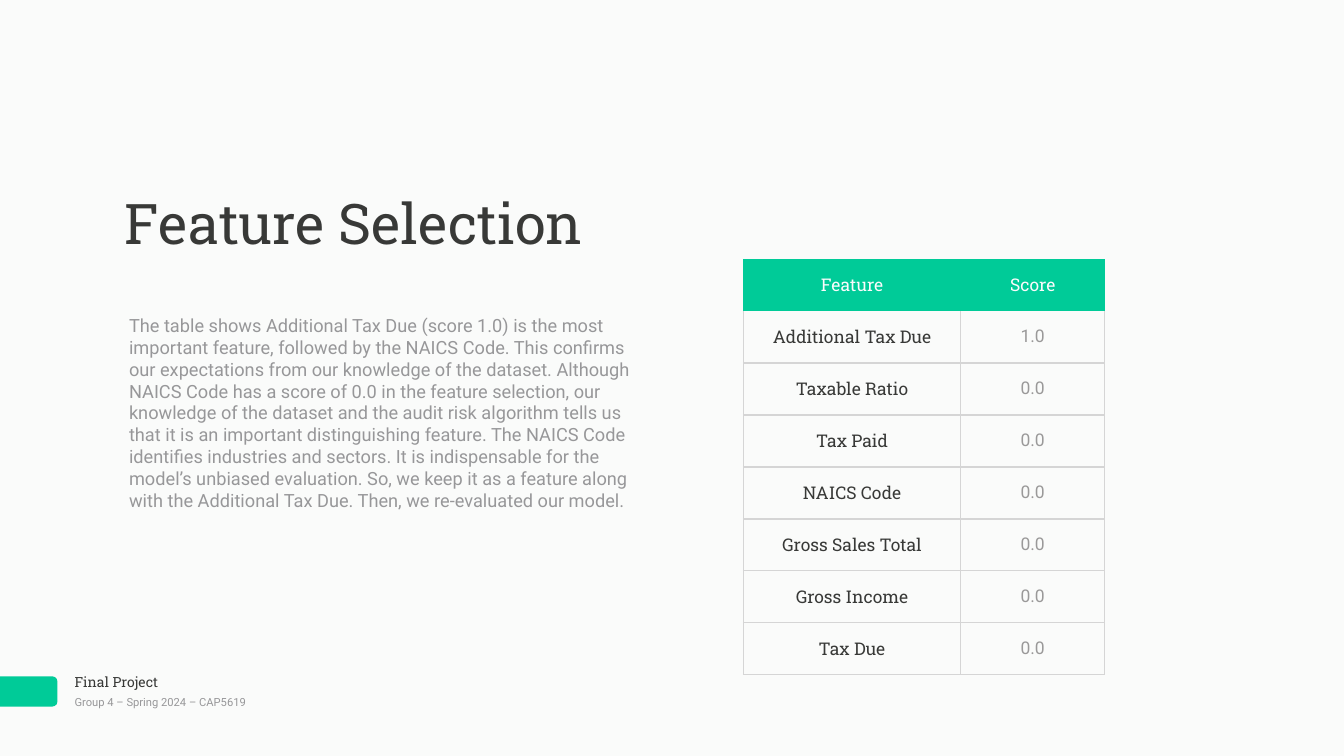
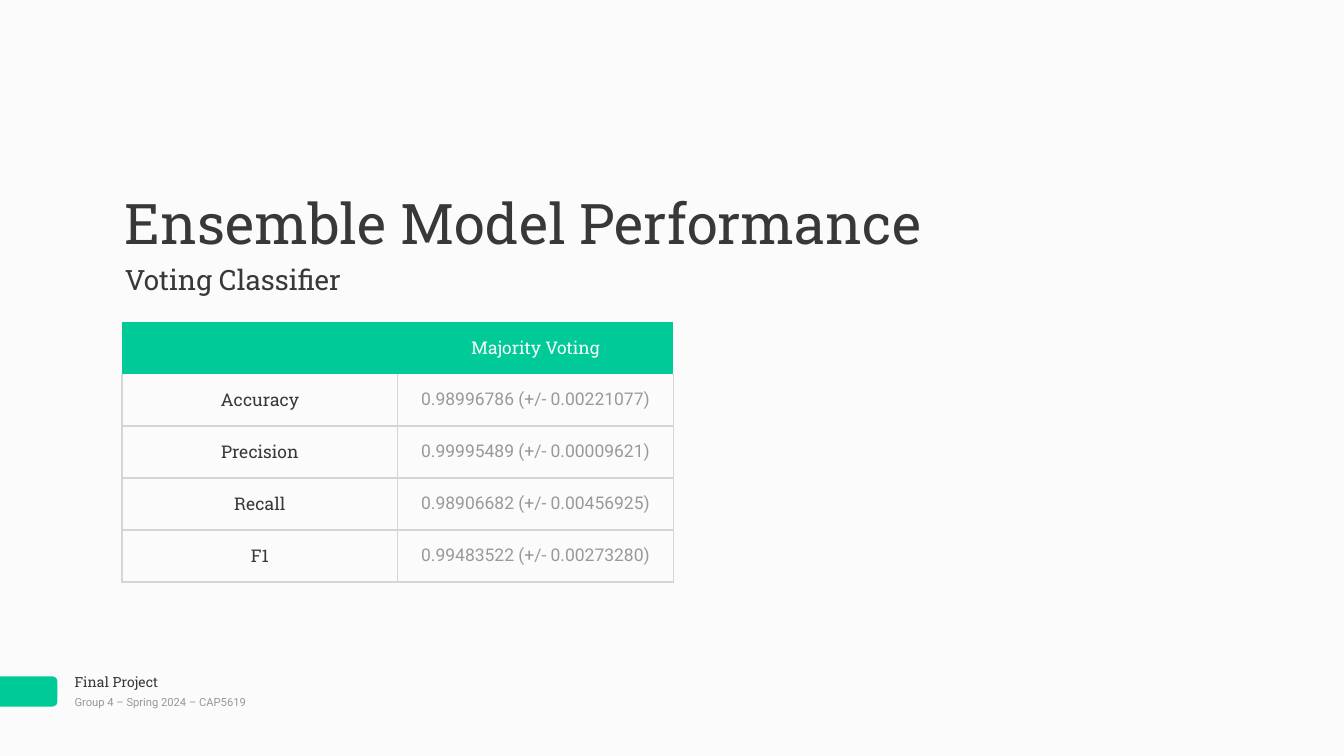
from pptx import Presentation
from pptx.dml.color import RGBColor
from pptx.enum.shapes import MSO_SHAPE
from pptx.enum.text import MSO_ANCHOR, MSO_AUTO_SIZE, PP_ALIGN
from pptx.oxml import parse_xml
from pptx.oxml.ns import nsdecls
from pptx.util import Pt

SLAB, SANS = "Roboto Slab", "Roboto"
GREEN, DARK, GREY = "00CB98", "383937", "979799"
PAPER, WHITE, SCORE, RULE = "FAFBFA", "FBFBFC", "9A9999", "D5D5D5"
LEFT, PAD, ROW = 174.24, 4.32, 74.25
PLAIN = "{2D5ABB26-0587-4C30-8999-92F81FD0307C}"


def tint(code):
    return RGBColor.from_string(code)


def write(para, text, size, face, color):
    run = para.add_run()
    run.text = text
    font = run.font
    font.size, font.name = Pt(size), face
    font.color.rgb = tint(color)


def place(shape, box):
    shape.left, shape.top, shape.width, shape.height = map(Pt, box)


def fill_text(shape, text, size, face, color, anchor=MSO_ANCHOR.TOP):
    frame = shape.text_frame
    frame.word_wrap = True
    frame.auto_size = MSO_AUTO_SIZE.SHAPE_TO_FIT_TEXT
    frame.vertical_anchor = anchor
    frame.margin_left = frame.margin_right = Pt(PAD)
    frame.margin_top = frame.margin_bottom = Pt(PAD)
    para = frame.paragraphs[0]
    para.alignment = PP_ALIGN.LEFT
    write(para, text, size, face, color)


def add_text(slide, box, *style):
    fill_text(slide.shapes.add_textbox(*map(Pt, box)), *style)


def add_title(slide, text, width):
    title = slide.shapes.title
    place(title, (LEFT, 265.68, width, 105.12))
    fill_text(title, text, 80, SLAB, DARK)


def add_footer(slide, top):
    tab = slide.shapes.add_shape(
        MSO_SHAPE.ROUNDED_RECTANGLE, Pt(-7.2), Pt(top + 8.64), Pt(89.28), Pt(43.2))
    tab.adjustments[0] = 0.17
    tab.shadow.inherit = False
    tab.fill.solid()
    tab.fill.fore_color.rgb = tint(GREEN)
    tab.line.fill.background()
    add_text(slide, (102.24, top, 229.68, 32.4), "Final Project", 20, SLAB, DARK)
    add_text(slide, (102.24, top + 30.96, 339.84, 27.36),
             "Group 4 – Spring 2024 – CAP5619", 16, SANS, GREY, MSO_ANCHOR.MIDDLE)


def add_rules(cell):
    props = cell._tc.get_or_add_tcPr()
    for side in "LRB":
        props.append(parse_xml(
            f'<a:ln{side} {nsdecls("a")} w="{Pt(2)}"><a:solidFill>'
            f'<a:srgbClr val="{RULE}"/></a:solidFill></a:ln{side}>'))


def fill_cell(cell, text, head, first):
    if head:
        cell.fill.solid()
        cell.fill.fore_color.rgb = tint(GREEN)
    else:
        add_rules(cell)
        cell.fill.background()
    cell.vertical_anchor = MSO_ANCHOR.MIDDLE
    cell.margin_left = cell.margin_right = Pt(PAD)
    cell.margin_top = cell.margin_bottom = Pt(PAD)
    para = cell.text_frame.paragraphs[0]
    para.alignment = PP_ALIGN.CENTER
    if text:
        face = SLAB if head or first else SANS
        color = WHITE if head else DARK if first else SCORE
        write(para, text, 25, face, color)


def add_grid(slide, left, top, widths, rows):
    frame = slide.shapes.add_table(
        len(rows), len(widths), Pt(left), Pt(top), Pt(sum(widths)), Pt(ROW * len(rows)))
    table = frame.table
    table.first_row = table.horz_banding = False
    table._tbl.tblPr.find(
        "{http://schemas.openxmlformats.org/drawingml/2006/main}tableStyleId").text = PLAIN
    for col, width in zip(table.columns, widths):
        col.width = Pt(width)
    for r, row in enumerate(rows):
        table.rows[r].height = Pt(ROW)
        for c, text in enumerate(row):
            fill_cell(table.cell(r, c), text, r == 0, c == 0)


def new_slide(deck, title, width):
    slide = deck.slides.add_slide(deck.slide_layouts.get_by_name("Title Only"))
    add_footer(slide, 957.6)
    add_title(slide, title, width)
    return slide


def add_feature(deck):
    slide = new_slide(deck, "Feature Selection", 754.56)
    add_text(slide, (180, 444.96, 732.96, 291.6),
             "The table shows Additional Tax Due (score 1.0) is the most important "
             "feature, followed by the NAICS Code. This confirms our expectations from "
             "our knowledge of the dataset. Although NAICS Code has a score of 0.0 in "
             "the feature selection, our knowledge of the dataset and the audit risk "
             "algorithm tells us that it is an important distinguishing feature. The "
             "NAICS Code identifies industries and sectors. It is indispensable for the "
             "model’s unbiased evaluation. So, we keep it as a feature along with the "
             "Additional Tax Due. Then, we re-evaluated our model.", 26, SANS, GREY)
    zeros = ("Taxable Ratio", "Tax Paid", "NAICS Code",
             "Gross Sales Total", "Gross Income", "Tax Due")
    rows = [("Feature", "Score"), ("Additional Tax Due", "1.0")]
    rows += [(name, "0.0") for name in zeros]
    add_grid(slide, 1062, 370.08, (310.32, 205.92), rows)


def add_model(deck):
    slide = new_slide(deck, "Ensemble Model Performance", 1206.72)
    add_text(slide, (LEFT, 370.08, 1206.72, 56.88), "Voting Classifier", 40, SLAB, DARK)
    add_grid(slide, LEFT, 460.08, (393.84, 393.84), [
        ("", "Majority Voting"),
        ("Accuracy", "0.98996786 (+/- 0.00221077)"),
        ("Precision", "0.99995489 (+/- 0.00009621)"),
        ("Recall", "0.98906682 (+/- 0.00456925)"),
        ("F1", "0.99483522 (+/- 0.00273280)"),
    ])


def main():
    deck = Presentation()
    deck.slide_width, deck.slide_height = Pt(1920), Pt(1080)
    back = deck.slide_master.background.fill
    back.solid()
    back.fore_color.rgb = tint(PAPER)
    add_feature(deck)
    add_model(deck)
    deck.save("out.pptx")


if __name__ == "__main__":
    main()
